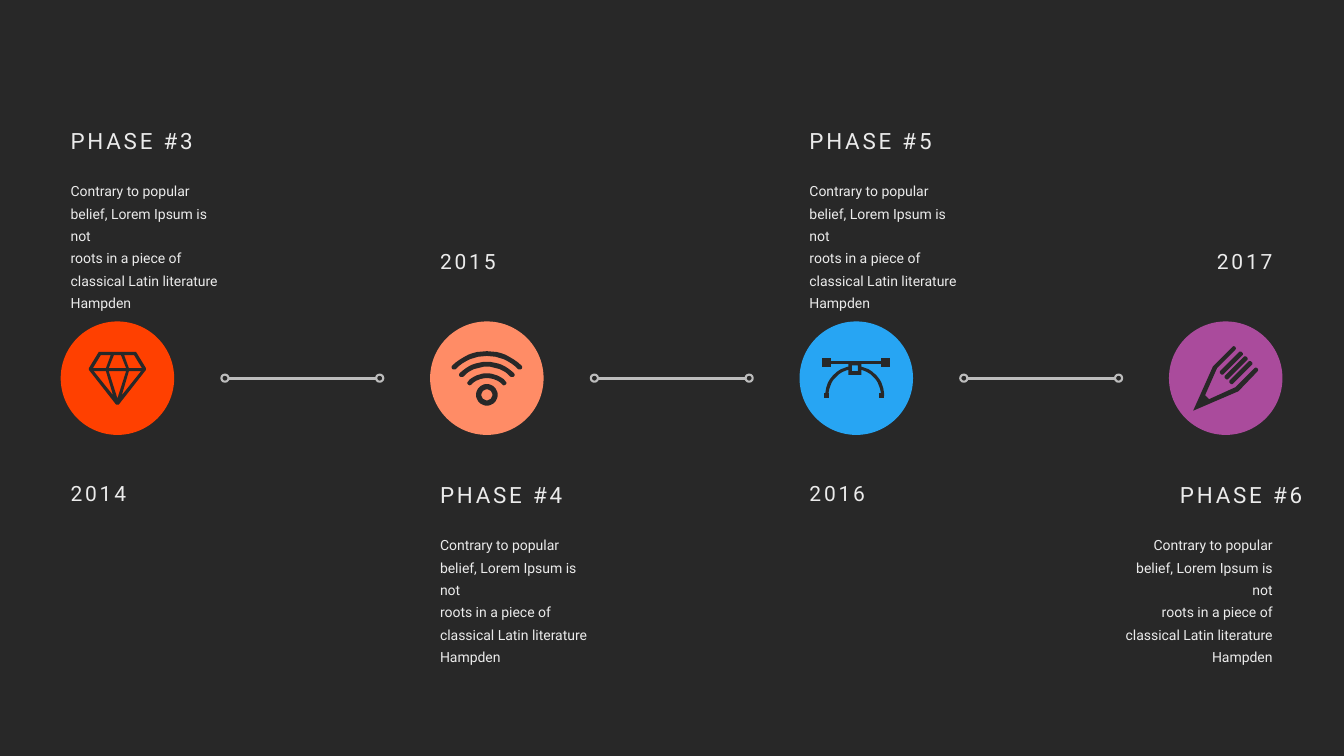
from dataclasses import dataclass
from math import cos, radians, sin

from lxml.etree import SubElement
from pptx import Presentation
from pptx.dml.color import RGBColor
from pptx.enum.shapes import MSO_CONNECTOR, MSO_SHAPE
from pptx.enum.text import MSO_AUTO_SIZE, PP_ALIGN
from pptx.oxml.ns import qn
from pptx.util import Cm, Pt


@dataclass(frozen=True)
class Theme:
    background: RGBColor = RGBColor(0x28, 0x28, 0x28)
    text: RGBColor = RGBColor(0xEB, 0xEB, 0xEB)
    line: RGBColor = RGBColor(0xBD, 0xBD, 0xBD)
    red: RGBColor = RGBColor(0xFF, 0x40, 0x00)
    salmon: RGBColor = RGBColor(0xFF, 0x8C, 0x66)
    blue: RGBColor = RGBColor(0x27, 0xA5, 0xF3)
    purple: RGBColor = RGBColor(0xAA, 0x4B, 0x9C)
    font: str = "Roboto"
    heading_size: Pt = Pt(16)
    year_size: Pt = Pt(15)
    body_size: Pt = Pt(10)
    body_leading: Pt = Pt(16)
    letter_spacing: str = "200"


THEME = Theme()

# Timeline layout, in centimetres
FIRST_LEFT, PITCH, DIAMETER, AXIS = 1.53, 9.31, 2.86, 9.53
LINK_OFFSET, LINK_LENGTH, DOT = 4.05, 4.08, 0.18
HEADING_WIDTH, YEAR_WIDTH, BODY_WIDTH = 4.34, 2.26, 4.27
UPPER_TOP, LOWER_TOP, UPPER_YEAR_TOP, BODY_DROP = 3.07, 11.99, 6.15, 1.27
RIGHT_HEADING_SHIFT = 0.75

BODY = ["Contrary to popular belief, Lorem Ipsum is not",
        "roots in a piece of classical Latin literature Hampden"]


# Outline geometry, in hundredths of a centimetre from the circle centre
def arc(x, y, radius, start, end, steps=16):
    angles = [radians(start + (end - start) * step / steps) for step in range(steps + 1)]
    return [(x + radius * cos(angle), y + radius * sin(angle)) for angle in angles]


def arc_band(x, y, radius, start, end, half):
    """A round-ended band that follows an arc."""
    first, last = arc(x, y, radius, start, end, 1)
    return (arc(x, y, radius + half, start, end)
            + arc(*last, half, end, end + 180)
            + arc(x, y, radius - half, end, start)
            + arc(*first, half, start - 180, start))


def diagonal_rod(x, y, length, half):
    """A round-ended rod that rises to the right at 45 degrees."""
    return arc(x + length, y - length, half, -135, 45) + arc(x, y, half, 45, 225)


def box(left, top, right, bottom):
    return [(left, top), (right, top), (right, bottom), (left, bottom)]


def mirror(points):
    return [(-x, y) for x, y in points]


# Icons: each is a list of pieces, each piece an outline followed by its holes
def diamond_icon():
    outline = [(-47, -66), (47, -66), (72, -25), (72, -21),
               (3, 67), (-3, 67), (-72, -21), (-72, -25)]
    crown = [(-9, -58), (9, -58), (22, -25), (-22, -25)]
    pavilion = [(-22, -18), (22, -18), (0, 51)]
    left_facets = [[(-42, -58), (-17, -58), (-29, -25), (-62, -25)],
                   [(-60, -18), (-29, -18), (-11, 43)]]
    return [[outline, crown, pavilion, *left_facets, *map(mirror, left_facets)]]


def signal_icon():
    waves = [[arc_band(0, 55, radius, 225, 315, 6)] for radius in (61, 90, 117)]
    dot = [arc(0, 42, 27, 0, 360, 40), arc(0, 42, 14, 0, 360, 40)]
    return [dot, *waves]


def curve_icon():
    node = [box(-20, -36, 13, -8), box(-11, -32, 4, -18)]
    solids = [box(-86, -51, -63, -28), box(63, -51, 86, -28), box(-63, -43, 63, -36),
              box(-81, 38, -69, 51), box(58, 38, 71, 51),
              arc_band(-4, 43, 70, 180, 257, 4), arc_band(-4, 43, 70, 283, 360, 4)]
    return [node, *([solid] for solid in solids)]


def pencil_icon():
    body = [(80, -25), (76, -27), (72, -25), (24, 23), (-42, 53), (-52, 43), (-22, -25),
            (24, -71), (26, -75), (24, -79), (20, -81), (17, -79), (-32, -30),
            (-82, 82), (32, 33), (80, -17), (82, -21)]
    rods = [[diagonal_rod(15 - 12 * index, 9 - 12 * index, 46, 6)] for index in range(3)]
    return [[body], *rods]


# Drawing
def paint(shape, fill, line=None):
    shape.shadow.inherit = False
    shape.fill.solid()
    shape.fill.fore_color.rgb = fill
    if line is None:
        shape.line.fill.background()
    else:
        shape.line.color.rgb = line
        shape.line.width = Pt(1.5)


def add_circle(shapes, left, top, diameter, fill, line=None):
    circle = shapes.add_shape(MSO_SHAPE.OVAL, Cm(left), Cm(top), Cm(diameter), Cm(diameter))
    paint(circle, fill, line)


def add_icon(slide, pieces, center_x):
    shapes = slide.shapes.add_group_shape().shapes
    for outline, *holes in pieces:
        builder = shapes.build_freeform(*outline[0], scale=Cm(0.01))
        builder.add_line_segments(outline[1:], close=True)
        for hole in holes:
            builder.move_to(*hole[0])
            builder.add_line_segments(hole[1:], close=True)
        paint(builder.convert_to_shape(Cm(center_x), Cm(AXIS)), THEME.background)


def add_link(slide, left):
    shapes = slide.shapes.add_group_shape().shapes
    right = left + LINK_LENGTH
    connector = shapes.add_connector(MSO_CONNECTOR.STRAIGHT, Cm(left), Cm(AXIS), Cm(right), Cm(AXIS))
    connector.line.color.rgb = THEME.line
    connector.line.width = Pt(2)
    SubElement(connector._element.spPr, qn("a:effectLst"))
    for dot_left in (left, right - DOT):
        add_circle(shapes, dot_left, AXIS - DOT / 2, DOT, THEME.background, THEME.line)


def add_text(slide, lines, left, top, width, height, size, align, leading=None, spacing=None):
    text_box = slide.shapes.add_textbox(Cm(left), Cm(top), Cm(width), Cm(height))
    frame = text_box.text_frame
    frame.word_wrap = True
    frame.auto_size = MSO_AUTO_SIZE.SHAPE_TO_FIT_TEXT
    for index, line in enumerate(lines):
        paragraph = frame.add_paragraph() if index else frame.paragraphs[0]
        run = paragraph.add_run()
        run.text = line
        if spacing:
            run._r.get_or_add_rPr().set("spc", spacing)
        paragraph.alignment = align
        paragraph.line_spacing = leading
        paragraph.font.name = THEME.font
        paragraph.font.size = size
        paragraph.font.color.rgb = THEME.text


def add_phase(slide, left, heading, year, color, pieces, is_upper, is_last):
    add_circle(slide.shapes, left, AXIS - DIAMETER / 2, DIAMETER, color)
    add_icon(slide, pieces, left + DIAMETER / 2)

    # The last phase is aligned to the right edge of its circle
    align = PP_ALIGN.RIGHT if is_last else PP_ALIGN.LEFT
    heading_left, year_left, body_left = (
        left + DIAMETER - width if is_last else left
        for width in (HEADING_WIDTH, YEAR_WIDTH, BODY_WIDTH))
    if is_last:
        heading_left += RIGHT_HEADING_SHIFT
    top = UPPER_TOP if is_upper else LOWER_TOP
    year_top = LOWER_TOP if is_upper else UPPER_YEAR_TOP
    add_text(slide, [heading], heading_left, top, HEADING_WIDTH, 0.94,
             THEME.heading_size, align, spacing=THEME.letter_spacing)
    add_text(slide, BODY, body_left, top + BODY_DROP, BODY_WIDTH, 3.63,
             THEME.body_size, align, leading=THEME.body_leading)
    add_text(slide, [year], year_left, year_top, YEAR_WIDTH, 0.89,
             THEME.year_size, align, spacing=THEME.letter_spacing)


def main():
    presentation = Presentation()
    presentation.slide_width, presentation.slide_height = Cm(33.87), Cm(19.05)
    slide = presentation.slides.add_slide(presentation.slide_layouts[6])
    slide.background.fill.solid()
    slide.background.fill.fore_color.rgb = THEME.background

    phases = [("PHASE #3", "2014", THEME.red, diamond_icon()),
              ("PHASE #4", "2015", THEME.salmon, signal_icon()),
              ("PHASE #5", "2016", THEME.blue, curve_icon()),
              ("PHASE #6", "2017", THEME.purple, pencil_icon())]
    for index, phase in enumerate(phases):
        left = FIRST_LEFT + index * PITCH
        is_last = index == len(phases) - 1
        add_phase(slide, left, *phase, is_upper=index % 2 == 0, is_last=is_last)
        if not is_last:
            add_link(slide, left + LINK_OFFSET)
    presentation.save("out.pptx")


if __name__ == "__main__":
    main()
